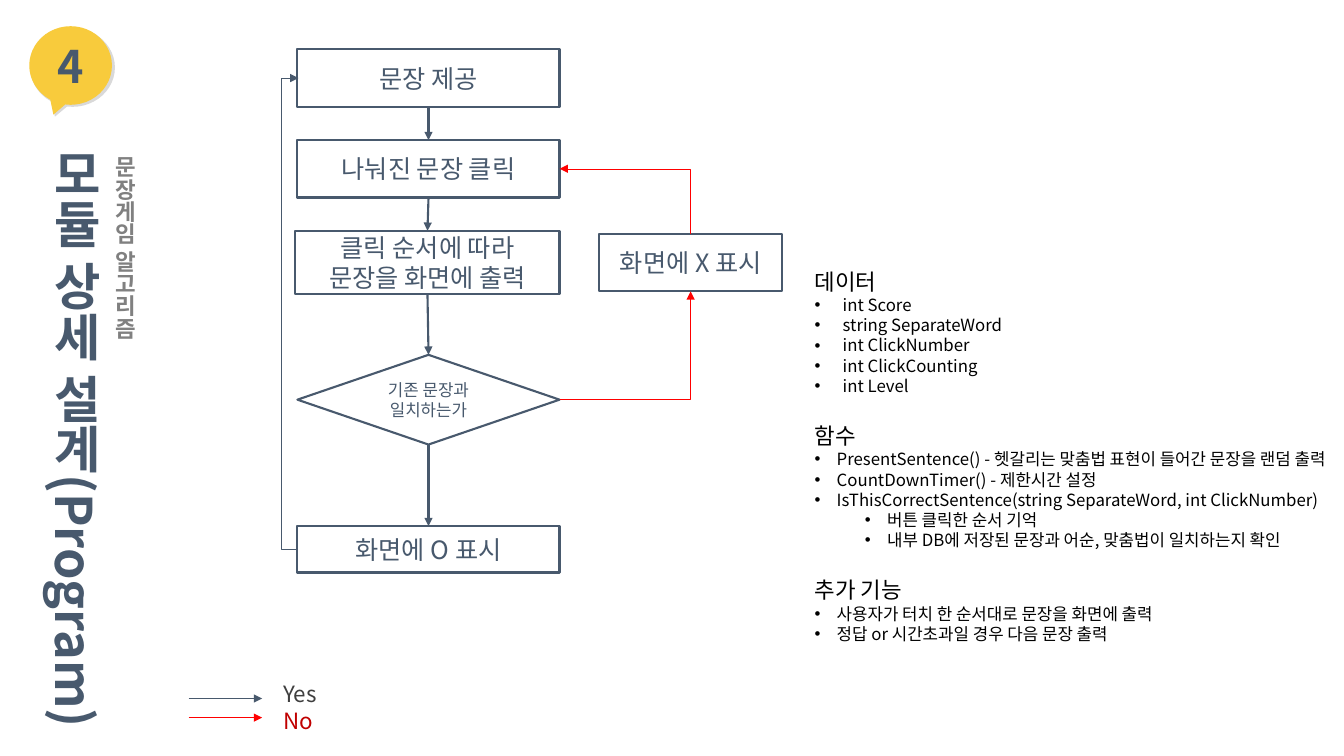
from lxml import etree
from pptx import Presentation
from pptx.dml.color import RGBColor
from pptx.enum.shapes import MSO_CONNECTOR, MSO_SHAPE
from pptx.enum.text import MSO_ANCHOR, MSO_AUTO_SIZE, PP_ALIGN
from pptx.oxml.ns import qn
from pptx.util import Inches, Pt

RECT, DECISION = MSO_SHAPE.RECTANGLE, MSO_SHAPE.FLOWCHART_DECISION
CALLOUT = MSO_SHAPE.OVAL_CALLOUT
STRAIGHT, ELBOW = MSO_CONNECTOR.STRAIGHT, MSO_CONNECTOR.ELBOW
LEFT, CENTER = PP_ALIGN.LEFT, PP_ALIGN.CENTER
TOP, MIDDLE = MSO_ANCHOR.TOP, MSO_ANCHOR.MIDDLE
FIT = MSO_AUTO_SIZE.SHAPE_TO_FIT_TEXT
TOP_SIDE, BOTTOM_SIDE = 0, 2

NAVY = RGBColor(0x48, 0x59, 0x6D)
YELLOW = RGBColor(0xF8, 0xCB, 0x3C)
LIGHT_GRAY = RGBColor(0xD9, 0xD9, 0xD9)
GRAY = RGBColor(0x80, 0x80, 0x80)
DARK_GRAY = RGBColor(0x3F, 0x3F, 0x3F)
BLACK = RGBColor(0, 0, 0)
RED = RGBColor(0xFF, 0, 0)
DARK_RED = RGBColor(0xC0, 0, 0)
FONT = "Noto Sans CJK KR"

# Content
NUMBER = "4"
TITLE = "모듈 상세 설계(Program)"
SUBTITLE = "문장게임 알고리즘"

# Flow steps: name, lines, preset, (left, top, width, height), text size
STEPS = [
    ("offer", ["문장 제공"], RECT, (2.95, 0.49, 2.6, 0.57), 18),
    ("click", ["나눠진 문장 클릭"], RECT, (2.95, 1.39, 2.6, 0.57), 18),
    ("show", ["클릭 순서에 따라", "문장을 화면에 출력"], RECT, (2.93, 2.29, 2.62, 0.63), 18),
    ("match", ["기존 문장과", "일치하는가"], DECISION, (2.95, 3.52, 2.6, 0.89), 12),
    ("right", ["화면에 O 표시"], RECT, (2.95, 5.22, 2.6, 0.46), 18),
    ("wrong", ["화면에 X 표시"], RECT, (5.94, 2.32, 1.82, 0.57), 18),
]
MAIN_PATH = ["offer", "click", "show", "match", "right"]
LEGEND = [("Yes", DARK_GRAY, NAVY, 6.93), ("No", DARK_RED, RED, 7.12)]

# Sections: heading, bullet indent, bullets as (level, text)
SECTIONS = [
    ("데이터", 0.28, [
        (0, "int Score"),
        (0, "string SeparateWord"),
        (0, "int ClickNumber"),
        (0, "int ClickCounting"),
        (0, "int Level"),
    ]),
    ("함수", 0.22, [
        (0, "PresentSentence() - 헷갈리는 맞춤법 표현이 들어간 문장을 랜덤 출력"),
        (0, "CountDownTimer() - 제한시간 설정"),
        (0, "IsThisCorrectSentence(string SeparateWord, int ClickNumber)"),
        (1, "버튼 클릭한 순서 기억"),
        (1, "내부 DB에 저장된 문장과 어순, 맞춤법이 일치하는지 확인"),
    ]),
    ("추가 기능", 0.22, [
        (0, "사용자가 터치 한 순서대로 문장을 화면에 출력"),
        (0, "정답 or 시간초과일 경우 다음 문장 출력"),
    ]),
]
LEVEL_STEP = 0.5
SECTION_GAP = 19

deck = Presentation()
deck.slide_width, deck.slide_height = Inches(13.33), Inches(7.5)
slide = deck.slides.add_slide(deck.slide_layouts[6])
shapes = slide.shapes


def write(frame, text, size=18, color=NAVY, bold=False, align=LEFT,
          hanging=0, level=0, before=0):
    """Add one paragraph, filling the first one while it is empty."""
    para = frame.paragraphs[0]
    if para.runs:
        para = frame.add_paragraph()
    para.alignment, para.level = align, level
    para.space_before = Pt(before)
    run = para.add_run()
    run.text = text
    font = run.font
    font.name, font.size, font.bold = FONT, Pt(size), bold
    font.color.rgb = color
    etree.SubElement(font._element, qn("a:ea")).set("typeface", FONT)
    if hanging:
        props = para._p.get_or_add_pPr()
        props.set("marL", str(Inches(hanging + level * LEVEL_STEP)))
        props.set("indent", str(-Inches(hanging)))
        etree.SubElement(props, qn("a:buFont")).set("typeface", "Arial")
        etree.SubElement(props, qn("a:buChar")).set("char", "•")


def add_box(preset, box, fill=None, line=None):
    shape = shapes.add_shape(preset, *map(Inches, box))
    shape.shadow.inherit = False
    if fill is None:
        shape.fill.background()
    else:
        shape.fill.solid()
        shape.fill.fore_color.rgb = fill
    if line is None:
        shape.line.fill.background()
    else:
        shape.line.color.rgb = line
        shape.line.width = Pt(1.5)
    shape.text_frame.word_wrap = True
    shape.text_frame.vertical_anchor = MIDDLE
    return shape


def add_text(box, vertical=False):
    frame = shapes.add_textbox(*map(Inches, box)).text_frame
    frame.word_wrap = not vertical
    frame.auto_size = FIT
    frame.vertical_anchor = TOP
    if vertical:
        frame._txBody.bodyPr.set("vert", "eaVert")
    return frame


def add_arrow(start, end, color, width, kind=STRAIGHT):
    arrow = shapes.add_connector(kind, *map(Inches, (*start, *end)))
    arrow.line.color.rgb = color
    arrow.line.width = Pt(width)
    tail = etree.SubElement(arrow.line._get_or_add_ln(), qn("a:tailEnd"))
    tail.set("type", "triangle")
    etree.SubElement(arrow._element.spPr, qn("a:effectLst"))
    return arrow


def set_bend(arrow, preset, adjust=None, rotation=0):
    props = arrow._element.spPr
    geometry = props.find(qn("a:prstGeom"))
    geometry.set("prst", preset)
    if rotation:
        props.find(qn("a:xfrm")).set("rot", str(rotation * 60000))
    if adjust is not None:
        guide = etree.SubElement(geometry.find(qn("a:avLst")), qn("a:gd"))
        guide.set("name", "adj1")
        guide.set("fmla", f"val {round(adjust * 100000)}")


# Numbered balloon with its shade
for box, color in (((0.3, 0.28, 0.84, 0.78), LIGHT_GRAY),
                   ((0.29, 0.26, 0.82, 0.78), YELLOW)):
    balloon = add_box(CALLOUT, box, fill=color)
    balloon.adjustments[0], balloon.adjustments[1] = -0.208, 0.625
write(balloon.text_frame, NUMBER, size=32, bold=True, align=CENTER)

# Vertical titles
write(add_text((0.29, 1.38, 0.81, 5.77), vertical=True), TITLE, size=36, bold=True)
write(add_text((0.93, 1.45, 0.49, 1.94), vertical=True), SUBTITLE,
      size=16, color=GRAY, bold=True, align=CENTER)

# Flow steps
steps, places = {}, {}
for name, lines, preset, box, size in STEPS:
    steps[name], places[name] = add_box(preset, box, line=NAVY), box
    for text in lines:
        write(steps[name].text_frame, text, size=size, align=CENTER)

# Arrows down the main path
for upper, lower in zip(MAIN_PATH, MAIN_PATH[1:]):
    arrow = add_arrow((0, 0), (1, 1), NAVY, 1.5)
    arrow.begin_connect(steps[upper], BOTTOM_SIDE)
    arrow.end_connect(steps[lower], TOP_SIDE)


def middle(name):
    left, top, width, height = places[name]
    return left + width / 2, top + height / 2


# Loop back from the last step to the first; the bend lies outside the left edge
loop_x, loop_out, loop_width = places["offer"][0], 0.16, 0.01
loop = add_arrow((loop_x, middle("right")[1]),
                 (loop_x + loop_width, middle("offer")[1]), NAVY, 0.5, ELBOW)
set_bend(loop, "bentConnector3", adjust=-loop_out / loop_width)

# Branch for a wrong answer: right and up, then up and back left
wrong_x = middle("wrong")[0]
wrong_top = places["wrong"][1]
wrong_bottom = wrong_top + places["wrong"][3]
edge_x = places["match"][0] + places["match"][2]
branch = add_arrow((edge_x, middle("match")[1]), (wrong_x, wrong_bottom), RED, 0.25, ELBOW)
set_bend(branch, "bentConnector2")

click_y = middle("click")[1]
center_x, center_y = (edge_x + wrong_x) / 2, (click_y + wrong_top) / 2
half_run, half_rise = (wrong_x - edge_x) / 2, (wrong_top - click_y) / 2
retry = add_arrow((center_x - half_rise, center_y + half_run),
                  (center_x + half_rise, center_y - half_run), RED, 0.25, ELBOW)
set_bend(retry, "bentConnector2", rotation=270)

# Legend
legend = add_text((2.71, 6.7, 0.78, 0.64))
for label, text_color, line_color, y in LEGEND:
    add_arrow((1.87, y), (2.6, y), line_color, 0.25)
    write(legend, label, size=16, color=text_color)

# Data, functions and extras
details = add_text((7.98, 2.61, 5.35, 4.04))
for index, (heading, hanging, bullets) in enumerate(SECTIONS):
    write(details, heading, size=16, color=BLACK, before=SECTION_GAP if index else 0)
    for level, text in bullets:
        write(details, text, size=12, color=BLACK, hanging=hanging, level=level)

deck.save("out.pptx")
